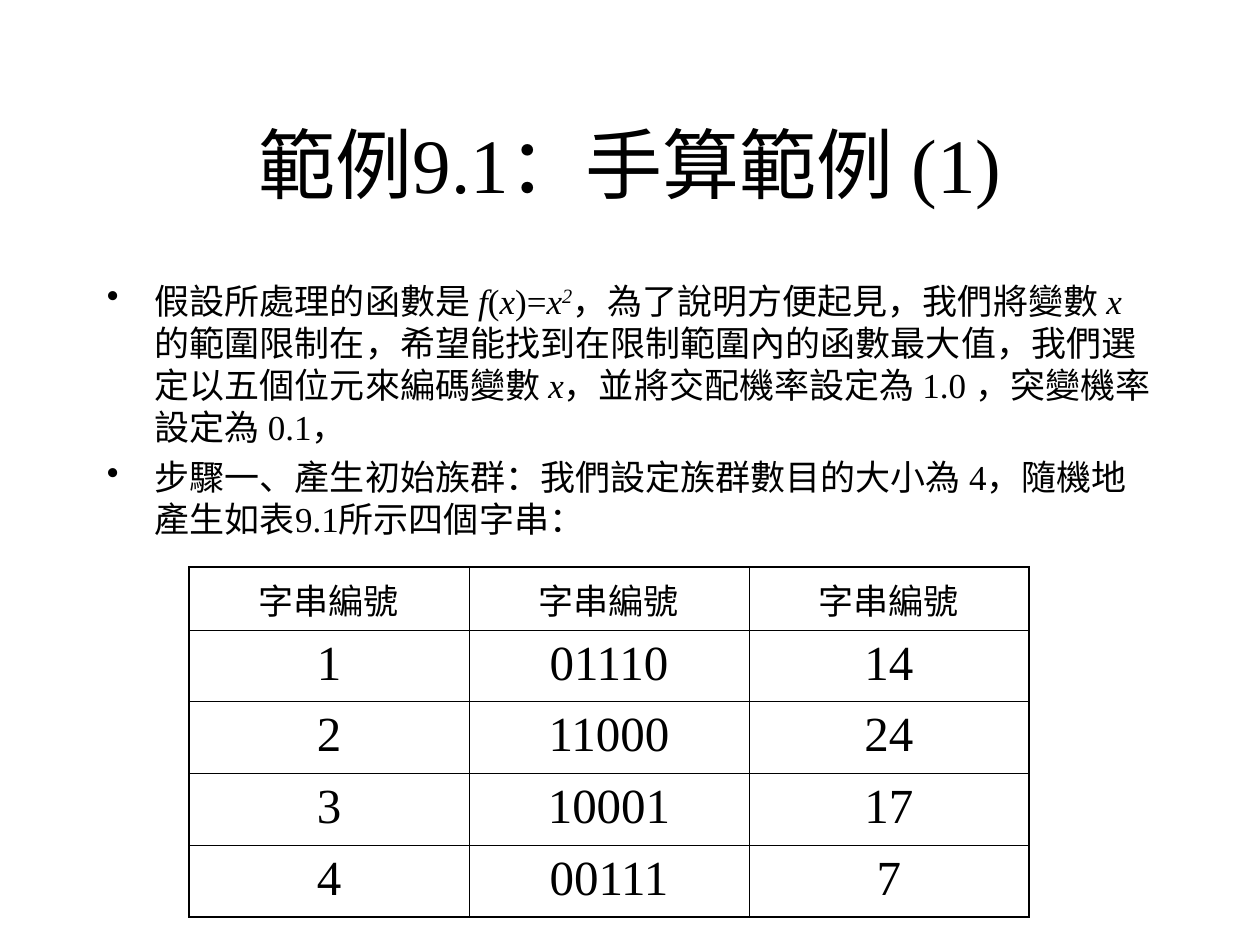
from dataclasses import dataclass
from typing import Any

from lxml.etree import SubElement
from pptx import Presentation
from pptx.dml.color import RGBColor
from pptx.enum.text import MSO_ANCHOR as Anchor, PP_ALIGN as Align
from pptx.oxml.ns import qn
from pptx.util import Inches, Pt

BLACK = RGBColor(0, 0, 0)
WHITE = RGBColor(255, 255, 255)
THICK, THIN = Pt(1.08), Pt(0.45)

TITLE = "範例9.1：手算範例 (1)"
# Each bullet is a list of (text, style): "" plain, "i" italic, "^" italic superscript.
BULLETS = [
    [("假設所處理的函數是 ", ""), ("f", "i"), ("(", ""), ("x", "i"), (")=", ""),
     ("x", "i"), ("2", "^"), ("，為了說明方便起見，我們將變數 ", ""), ("x ", "i"),
     ("的範圍限制在，希望能找到在限制範圍內的函數最大值，"
      "我們選定以五個位元來編碼變數 ", ""), ("x", "i"),
     ("，並將交配機率設定為 1.0 ，突變機率設定為 0.1，", "")],
    [("步驟一、產生初始族群：我們設定族群數目的大小為 4，"
      "隨機地產生如表9.1所示四個字串：", "")],
]
STRINGS = [
    ["字串編號", "字串編號", "字串編號"],
    ["1", "01110", "14"],
    ["2", "11000", "24"],
    ["3", "10001", "17"],
    ["4", "00111", "7"],
]


@dataclass
class SlideWriter:
    """Lengths are grid units: 12 columns and rows to the inch."""
    slide: Any
    font_name: str = "Times New Roman"
    unit: int = Inches(1) // 12

    def area(self, *lengths):
        return [round(length * self.unit) for length in lengths]

    def style(self, font, size):
        font.name, font.size = self.font_name, Pt(size)
        font.color.rgb = BLACK

    def text_box(self, *place):
        box = self.slide.shapes.add_textbox(*self.area(*place))
        box.text_frame.word_wrap = True
        return box.text_frame

    def title(self, text, *place):
        frame = self.text_box(*place)
        frame.vertical_anchor = Anchor.MIDDLE
        frame.text = text
        para = frame.paragraphs[0]
        para.alignment = Align.CENTER
        self.style(para.runs[0].font, 44)

    def bullets(self, items, *place):
        frame = self.text_box(*place)
        for index, item in enumerate(items):
            para = frame.add_paragraph() if index else frame.paragraphs[0]
            indent = Inches(0.38)
            properties = para._p.get_or_add_pPr()
            properties.set("marL", str(indent))
            properties.set("indent", str(-indent))
            SubElement(properties, qn("a:buChar"), char="•")
            if index:
                para.space_before = Pt(5)
            for text, kind in item:
                span = para.add_run()
                span.text = text
                self.style(span.font, 20)
                span.font.italic = kind != ""
                if kind == "^":
                    span.font._element.set("baseline", "30000")

    def border(self, cell, side, width):
        properties = cell._tc.get_or_add_tcPr()
        line = SubElement(properties, qn(f"a:ln{side}"), w=str(width))
        fill = SubElement(line, qn("a:solidFill"))
        SubElement(fill, qn("a:srgbClr"), val=str(BLACK))

    def table(self, rows, header_height, row_height, *place):
        last_row, last_column = len(rows) - 1, len(rows[0]) - 1
        frame = self.slide.shapes.add_table(len(rows), len(rows[0]), *self.area(*place))
        table = frame.table
        for r, values in enumerate(rows):
            table.rows[r].height = self.area(row_height if r else header_height)[0]
            for c, value in enumerate(values):
                cell = table.cell(r, c)
                cell.text = value
                para = cell.text_frame.paragraphs[0]
                para.alignment = Align.CENTER
                self.style(para.runs[0].font, 28 if r else 20)
                cell.margin_left = cell.margin_right = Inches(0.1)
                cell.margin_top = cell.margin_bottom = Inches(0.05)
                outer = {"L": c == 0, "R": c == last_column, "T": r == 0, "B": r == last_row}
                for side, is_outer in outer.items():
                    self.border(cell, side, THICK if is_outer else THIN)
                cell.fill.solid()
                cell.fill.fore_color.rgb = WHITE


def main():
    deck = Presentation()
    deck.slide_width, deck.slide_height = Inches(10), Inches(7.5)
    page = SlideWriter(deck.slides.add_slide(deck.slide_layouts[6]))
    page.title(TITLE, 9, 8, 102, 15)
    page.bullets(BULLETS, 9, 26, 102, 54)
    page.table(STRINGS, 6, 6.84, 18, 54, 80, 33.36)
    deck.save("out.pptx")


if __name__ == "__main__":
    main()
